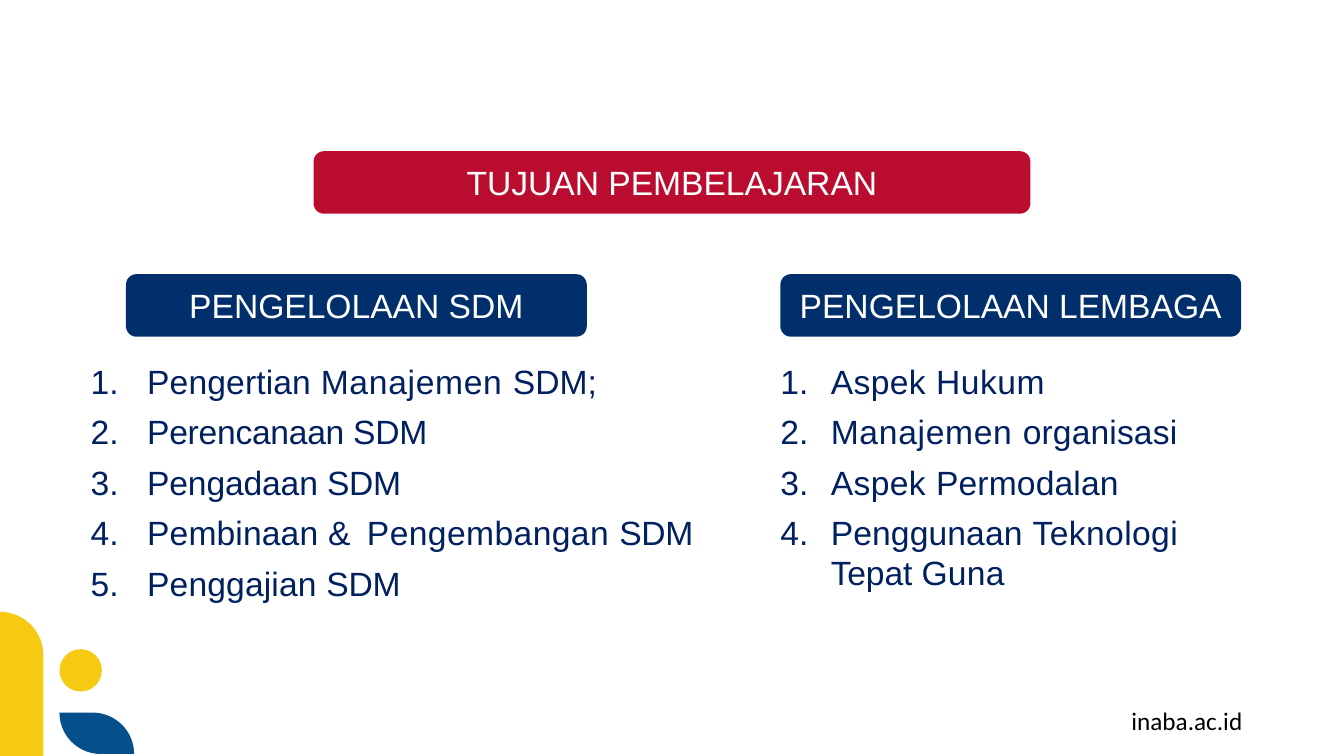
from math import cos, radians, sin

from lxml import etree
from pptx import Presentation
from pptx.dml.color import RGBColor
from pptx.enum import shapes, text
from pptx.oxml import ns
from pptx.util import Inches, Pt

YELLOW, BLUE, NAVY, RED = "F6CA13", "054F8C", "002F6C", "BA0C2F"

presentation = Presentation()
presentation.slide_width = Inches(13.33)
presentation.slide_height = Inches(7.5)
slide = presentation.slides.add_slide(presentation.slide_layouts[6])


def paint(shape, color):
    shape.shadow.inherit = False
    shape.fill.solid()
    shape.fill.fore_color.rgb = RGBColor.from_string(color)
    shape.line.fill.background()


def write(shape, paragraphs, color="FFFFFF", size=24, font="Arial", align="CENTER",
          space=0, hanging=None, tabs=()):
    """Fill a shape with paragraphs, each a list of (text, letter spacing in points).

    hanging is (left margin, number width) in inches and turns on numbering.
    """
    frame = shape.text_frame
    frame.word_wrap = True
    for index, runs in enumerate(paragraphs):
        paragraph = frame.add_paragraph() if index else frame.paragraphs[0]
        if hanging:
            properties = paragraph._p.get_or_add_pPr()
            margin, number_width = hanging
            properties.set("marL", str(Inches(margin)))
            properties.set("indent", str(-Inches(number_width)))
            etree.SubElement(properties, ns.qn("a:buFont"), typeface="+mj-lt")
            etree.SubElement(properties, ns.qn("a:buAutoNum"), type="arabicPeriod")
            tab_list = etree.SubElement(properties, ns.qn("a:tabLst"))
            for tab in tabs:
                etree.SubElement(tab_list, ns.qn("a:tab"), pos=str(Inches(tab)), algn="l")
        paragraph.alignment = getattr(text.PP_ALIGN, align)
        paragraph.space_before = Pt(space if index else 0)
        for words, spacing in runs:
            run = paragraph.add_run()
            run.text = words
            run.font.size = Pt(size)
            run.font.name = font
            run.font.color.rgb = RGBColor.from_string(color)
            if spacing:
                run.font._element.set("spc", str(round(spacing * 100)))


# Corner decoration: each outline mixes plain points with quarter arcs
# given as (centre x, centre y, radius, start angle).
outlines = [
    (YELLOW, [(0, 7.5), (0, 6.5, 0.43, 270), (0.43, 7.5)]),
    (BLUE, [(0.92, 7.48, 0.41, 270), (1, 7.07, 0.41, 90)]),
]
for color, parts in outlines:
    points = []
    for part in parts:
        if len(part) == 2:
            points.append(part)
        else:
            x, y, radius, start = part
            angles = [radians(start + step) for step in range(0, 91, 5)]
            points += [(x + radius * cos(a), y + radius * sin(a)) for a in angles]
    points = [(Inches(x), Inches(y)) for x, y in points]
    builder = slide.shapes.build_freeform(*points[0])
    builder.add_line_segments(points[1:])
    paint(builder.convert_to_shape(), color)

dot = slide.shapes.add_shape(shapes.MSO_SHAPE.OVAL, Inches(0.59), Inches(6.44),
                             Inches(0.42), Inches(0.42))
paint(dot, YELLOW)

website = slide.shapes.add_textbox(Inches(9.42), Inches(6.95), Inches(3), Inches(0.4))
write(website, [[("inaba.ac.id", 0)]], color="000000", size=18, font="Calibri", align="RIGHT")

headings = [
    ("TUJUAN PEMBELAJARAN", 3.11, 1.5, 7.11, RED),
    ("PENGELOLAAN SDM", 1.25, 2.72, 4.57, NAVY),
    ("PENGELOLAAN LEMBAGA", 7.74, 2.72, 4.57, NAVY),
]
for heading, left, top, width, color in headings:
    banner = slide.shapes.add_shape(shapes.MSO_SHAPE.ROUNDED_RECTANGLE, Inches(left),
                                    Inches(top), Inches(width), Inches(0.62))
    paint(banner, color)
    banner.text_frame.vertical_anchor = text.MSO_ANCHOR.MIDDLE
    write(banner, [[(heading, 0)]])

staff_topics = [
    [("Pengertian ", 0.1), ("Manajemen ", 0.5), ("SDM;", 0)],
    [("Perencanaan SDM", -0.2)],
    [("Pengadaan ", -0.1), ("SDM", -0.2)],
    [("Pembinaan ", 0.1), ("&\t", 0.8), ("Pengembangan ", 0.3), ("SDM", -0.2)],
    [("Penggajian ", 0.1), ("SDM", -0.2)],
]
institution_topics = [
    [("Aspek ", 0.3), ("Hukum", 0.4)],
    [("Manajemen ", 0.5), ("organisasi", 0.1)],
    [("Aspek ", 0.3), ("Permodalan", 0.1)],
    [("Penggunaan ", 0.1), ("Teknologi ", 0.3), ("Tepat ", -0.1), ("Guna", 0.2)],
]
topic_lists = [
    (staff_topics, 0.89, 6, 2.43, (0.57, 0.56), (0.57, 2.75)),
    (institution_topics, 7.64, 4.67, 2.33, (0.6, 0.5), (0.65,)),
]
for topics, left, width, height, hanging, tabs in topic_lists:
    box = slide.shapes.add_textbox(Inches(left), Inches(3.57), Inches(width), Inches(height))
    frame = box.text_frame
    frame.margin_left = frame.margin_right = frame.margin_bottom = 0
    frame.margin_top = Inches(0.01)
    write(box, topics, color="002060", align="LEFT", space=7.2, hanging=hanging, tabs=tabs)

presentation.save("out.pptx")
